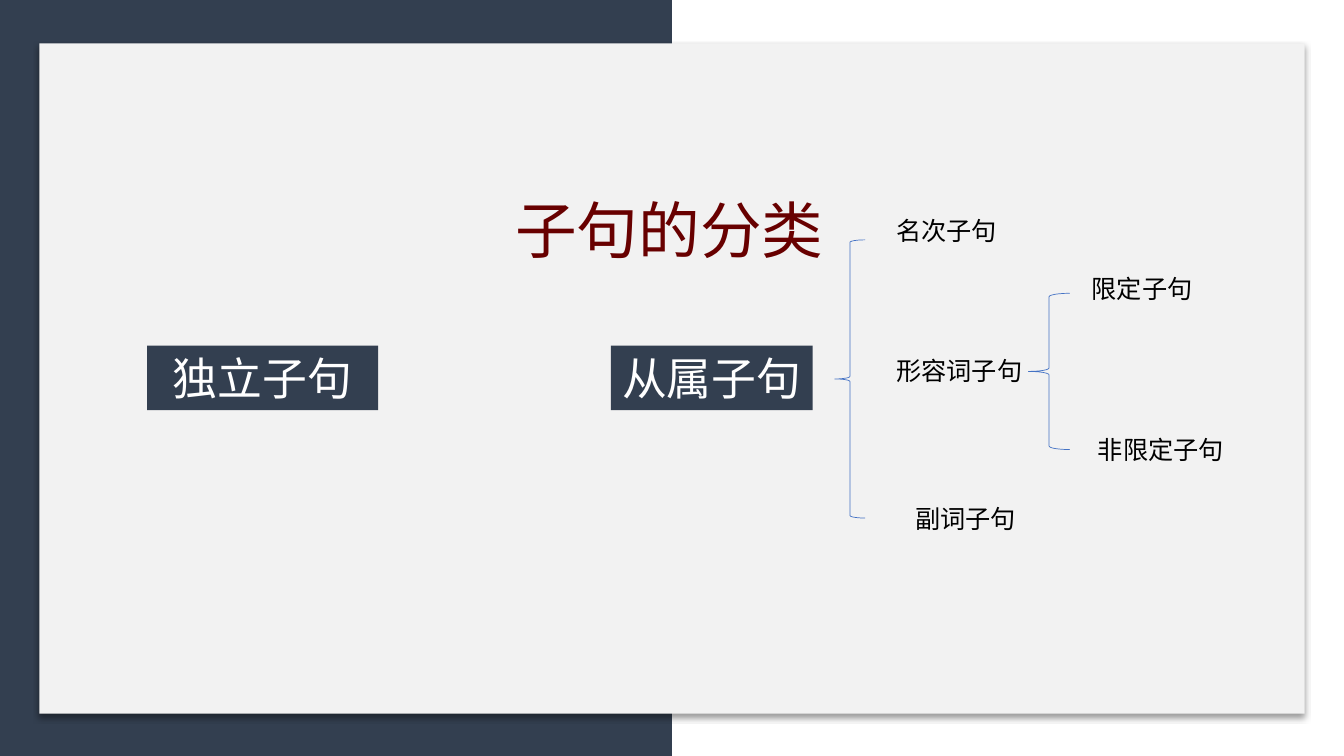
from lxml.etree import SubElement as Sub
from pptx import Presentation
from pptx.dml.color import RGBColor
from pptx.enum.shapes import MSO_SHAPE as Shape
from pptx.enum.text import MSO_ANCHOR as Anchor, MSO_AUTO_SIZE as Auto, PP_ALIGN as Align
from pptx.oxml.ns import qn
from pptx.util import Inches, Pt

NAVY = RGBColor(0x33, 0x3F, 0x50)
PALE = RGBColor(0xF2, 0xF2, 0xF2)
RED = RGBColor(0x68, 0x00, 0x00)
BLUE = RGBColor(0x44, 0x72, 0xC4)
WHITE = RGBColor(0xFF, 0xFF, 0xFF)
BLACK = RGBColor(0, 0, 0)
FONT = "Noto Sans CJK SC"
WIDE, HIGH = 13.33, 7.5
LABELS = [
    ("名次子句", 8.79, 2.09),
    ("形容词子句", 8.79, 3.48),
    ("副词子句", 8.98, 4.94),
    ("非限定子句", 10.79, 4.26),
    ("限定子句", 10.73, 2.66),
]


def write(shape, text, size, color, align=Align.LEFT):
    """Put one styled run in a shape, set from the top."""
    frame = shape.text_frame
    frame.word_wrap = True
    frame.auto_size = Auto.NONE
    frame.vertical_anchor = Anchor.TOP
    para = frame.paragraphs[0]
    para.alignment = align
    para.line_spacing = 1.0
    run = para.add_run()
    run.text = text
    run.font.size = Pt(size)
    run.font.name = FONT
    run.font.color.rgb = color
    Sub(run.font._element, qn("a:ea"), typeface=FONT)


def add_box(slide, left, top, width, height, color):
    """Add a plain filled rectangle."""
    box = slide.shapes.add_shape(
        Shape.RECTANGLE, Inches(left), Inches(top), Inches(width), Inches(height))
    box.shadow.inherit = False
    box.fill.solid()
    box.fill.fore_color.rgb = color
    box.line.fill.background()
    return box


def cast(shape):
    """Give a shape a soft shadow straight below it."""
    effects = shape._element.spPr.find(qn("a:effectLst"))
    outer = Sub(effects, qn("a:outerShdw"), blurRad=str(Pt(4)),
                dist=str(Pt(3)), dir=str(90 * 60000), rotWithShape="0")
    tint = Sub(outer, qn("a:srgbClr"), val=str(BLACK))
    Sub(tint, qn("a:alpha"), val="40000")


def add_title(slide, text):
    """Place the title in front of the panels."""
    title = slide.shapes.title
    slide.shapes._spTree.append(title._element)
    title.left, title.top = Inches(5.01), Inches(1.85)
    title.width, title.height = Inches(4.09), Inches(0.84)
    write(title, text, 44, RED)


def add_class(slide, text, left, width):
    """Add a dark box that names a main class."""
    box = add_box(slide, left, 3.43, width, 0.64, NAVY)
    write(box, text, 32, WHITE, Align.CENTER)


def add_brace(slide, left, top, width, height):
    """Add a thin left brace."""
    brace = slide.shapes.add_shape(
        Shape.LEFT_BRACE, Inches(left), Inches(top), Inches(width), Inches(height))
    brace.shadow.inherit = False
    brace.fill.background()
    brace.line.color.rgb = BLUE
    brace.line.width = Pt(0.5)


def add_label(slide, text, left, top):
    """Add a label that ends within the slide."""
    width = min(3.18, WIDE - left)
    label = slide.shapes.add_textbox(
        Inches(left), Inches(top), Inches(width), Inches(0.4))
    write(label, text, 18, BLACK)


def main():
    """Build and save the slide."""
    deck = Presentation()
    deck.slide_width, deck.slide_height = Inches(WIDE), Inches(HIGH)
    slide = deck.slides.add_slide(deck.slide_layouts[5])
    add_box(slide, 0, 0, WIDE / 2, HIGH, NAVY)
    cast(add_box(slide, 0.39, 0.43, 12.55, 6.65, PALE))
    add_title(slide, "子句的分类")
    add_class(slide, "独立子句", 1.46, 2.29)
    add_class(slide, "从属子句", 6.06, 2)
    add_brace(slide, 8.28, 2.38, 0.3, 2.76)
    add_brace(slide, 10.2, 2.91, 0.41, 1.55)
    for text, left, top in LABELS:
        add_label(slide, text, left, top)
    deck.save("out.pptx")


main()
